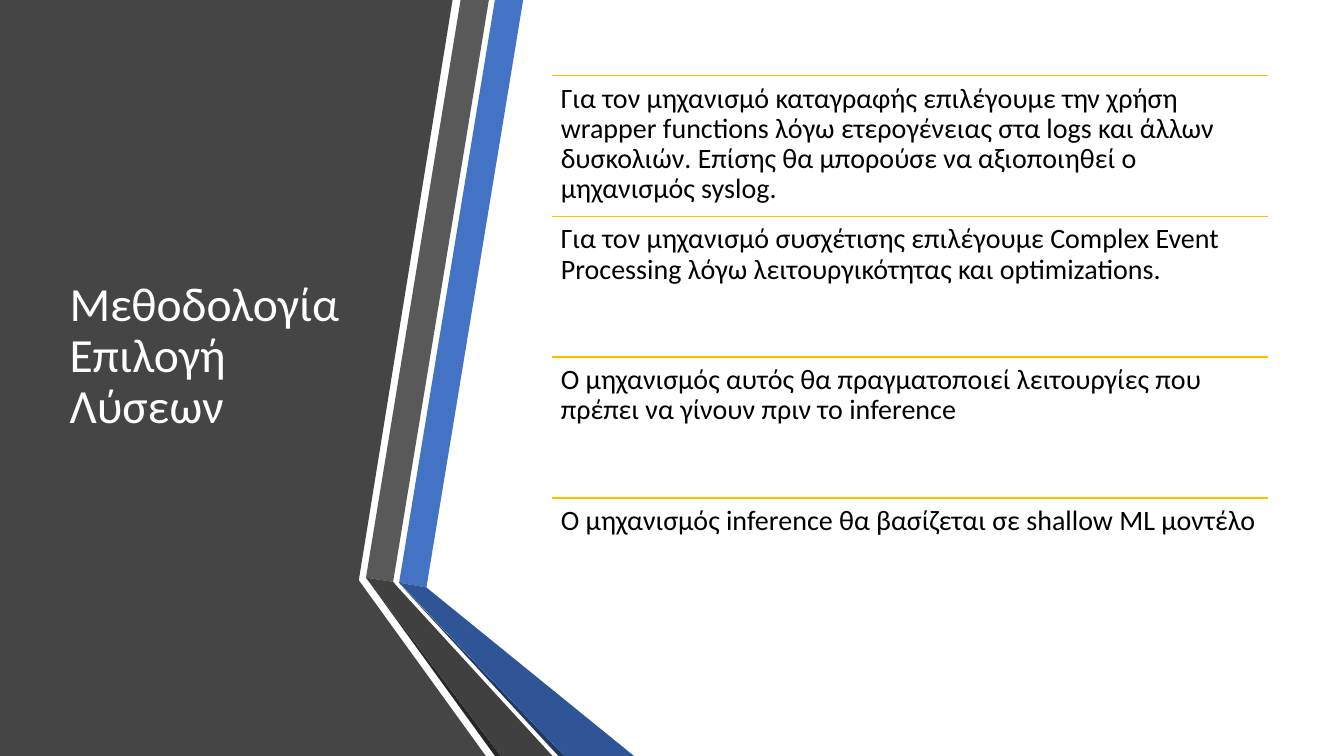
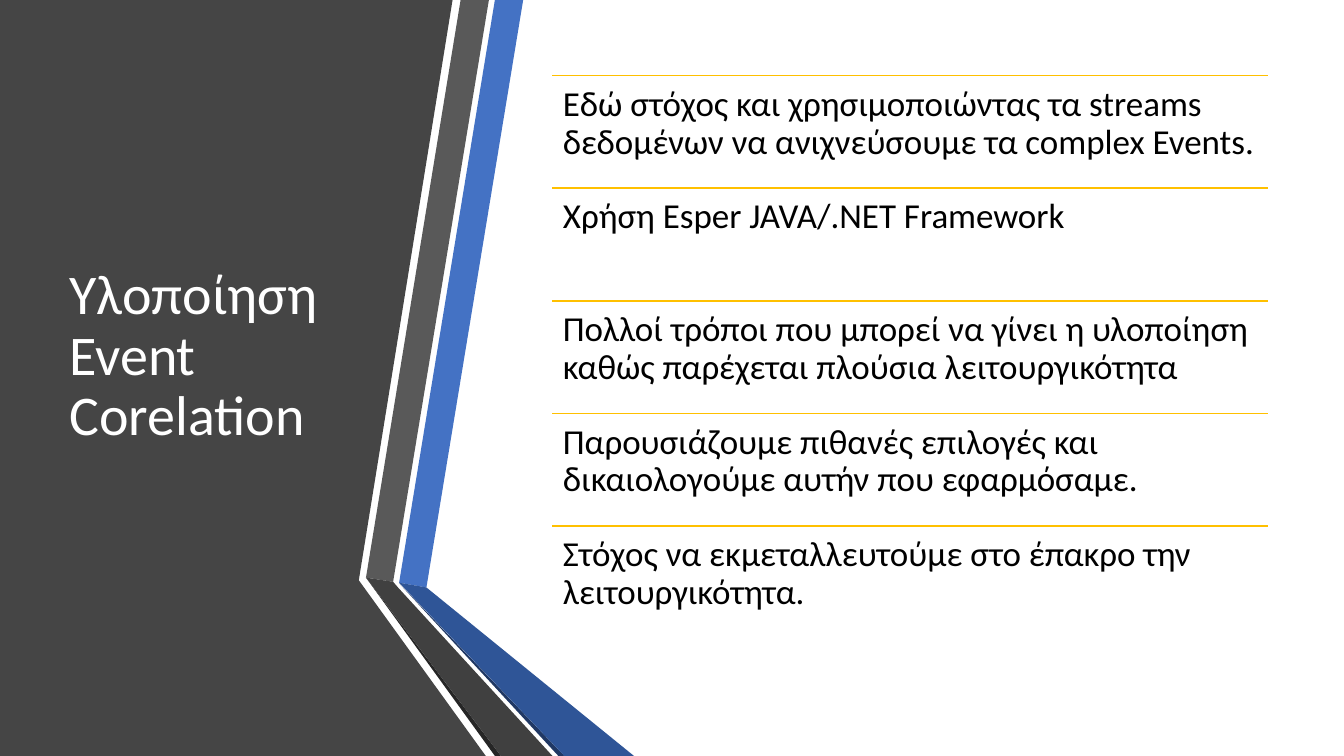
import pptx
import pptx.util
import pptx.dml.color
import pptx.enum.shapes
import pptx.enum.text
import pptx.oxml.ns
import lxml.etree

Pt = pptx.util.Pt
RGBColor = pptx.dml.color.RGBColor
ANCHOR = pptx.enum.text.MSO_ANCHOR
ALIGN = pptx.enum.text.PP_ALIGN

WHITE = RGBColor(0xFF, 0xFF, 0xFF)
BLACK = RGBColor(0x00, 0x00, 0x00)
PANEL = RGBColor(0x45, 0x45, 0x45)
BLUE = RGBColor(0x44, 0x72, 0xC4)
BLUE_FOLD = RGBColor(0x2F, 0x55, 0x97)
BLUE_EDGE = RGBColor(0x20, 0x38, 0x64)
GRAY = RGBColor(0x59, 0x59, 0x59)
GRAY_FOLD = RGBColor(0x40, 0x40, 0x40)
GRAY_EDGE = RGBColor(0x26, 0x26, 0x26)
GOLD = RGBColor(0xFF, 0xC0, 0x00)

FONT = "Calibri"
WIDTH, HEIGHT = 960, 540
TITLE_BOX = (42.5, 54, 219, 402)
LIST_BOX = (394.6, 54, 511.2, 402.2)

RIBBONS = [
    (PANEL, [(0, 0), (323.3, 0), (256.3, 414.5), (347, 540), (0, 540)]),
    (BLUE, [(285.1, 416.2), (304.6, 419.6), (373.7, 0), (353.5, 0)]),
    (GRAY, [(349.2, 0), (329, 0), (261.4, 412.6), (280.8, 415.6)]),
    (GRAY_EDGE, [(261.4, 412.6), (353.5, 540), (357.8, 540)]),
    (BLUE_EDGE, [(285.1, 416.6), (398.9, 540), (403.2, 540)]),
    (BLUE_FOLD, [(285.1, 416.2), (403.2, 540), (452.9, 540), (304.6, 419.6)]),
    (GRAY_FOLD, [(394.6, 540), (284.4, 419.8), (280.8, 415.6),
                 (261.4, 412.6), (357.8, 540)]),
]

SLIDES = [
    {
        "title": "Μεθοδολογία Επιλογή Λύσεων",
        "title_size": 34,
        "size": 20,
        "inset": 6,
        "items": [
            "Για τον μηχανισμό καταγραφής επιλέγουμε την χρήση wrapper "
            "functions λόγω ετερογένειας στα logs και άλλων δυσκολιών. "
            "Επίσης θα μπορούσε να αξιοποιηθεί ο μηχανισμός syslog.",
            "Για τον μηχανισμό συσχέτισης επιλέγουμε Complex Event "
            "Processing λόγω λειτουργικότητας και optimizations.",
            "Ο μηχανισμός αυτός θα πραγματοποιεί λειτουργίες που πρέπει "
            "να γίνουν πριν το inference",
            "Ο μηχανισμός inference θα βασίζεται σε shallow ML μοντέλο",
        ],
    },
    {
        "title": "Υλοποίηση Event Corelation",
        "title_size": 40,
        "size": 25,
        "inset": 7.5,
        "items": [
            "Εδώ στόχος και χρησιμοποιώντας τα streams δεδομένων να "
            "ανιχνεύσουμε τα complex Events.",
            "Χρήση Esper JAVA/.NET Framework",
            "Πολλοί τρόποι που μπορεί να γίνει η υλοποίηση καθώς "
            "παρέχεται πλούσια λειτουργικότητα",
            "Παρουσιάζουμε πιθανές επιλογές και δικαιολογούμε αυτήν που "
            "εφαρμόσαμε.",
            "Στόχος να εκμεταλλευτούμε στο έπακρο την λειτουργικότητα.",
        ],
    },
]


def set_attrs(obj, values):
    for name, value in values.items():
        setattr(obj, name, value)


def write_text(tf, text, size, color, **frame):
    set_attrs(tf, {"word_wrap": True,
                   "auto_size": pptx.enum.text.MSO_AUTO_SIZE.NONE, **frame})
    p = tf.paragraphs[0]
    set_attrs(p, {"alignment": ALIGN.LEFT, "line_spacing": 0.9})
    r = p.add_run()
    r.text = text
    set_attrs(r.font, {"name": FONT, "size": Pt(size)})
    r.font.color.rgb = color


def add_ribbons(s, left, top):
    for color, outline in RIBBONS:
        points = [(Pt(left + x), Pt(top + y)) for x, y in outline]
        builder = s.shapes.build_freeform(*points[0], scale=1.0)
        builder.add_line_segments(points[1:], close=True)
        sp = builder.convert_to_shape()
        sp.shadow.inherit = False
        sp.fill.solid()
        sp.fill.fore_color.rgb = color
        sp.line.fill.background()


def add_title(s, box, text, size):
    sp = s.shapes.title
    set_attrs(sp, dict(zip(("left", "top", "width", "height"), map(Pt, box))))
    write_text(sp.text_frame, text, size, WHITE,
               vertical_anchor=ANCHOR.MIDDLE)
    sp._element.getparent().append(sp._element)


def add_rule(s, left, top, width):
    line = s.shapes.add_connector(
        pptx.enum.shapes.MSO_CONNECTOR.STRAIGHT,
        Pt(left), Pt(top), Pt(left + width), Pt(top))
    line.line.color.rgb = GOLD
    line.line.width = Pt(1)
    lxml.etree.SubElement(line._element.spPr,
                          pptx.oxml.ns.qn("a:effectLst"))


def add_ruled_list(s, box, items, size, inset):
    left, top, width, height = box
    step = height / len(items)
    margins = {f"margin_{side}": Pt(inset)
               for side in ("left", "top", "right", "bottom")}
    for i, item in enumerate(items):
        y = top + i * step
        add_rule(s, left, y, width)
        sp = s.shapes.add_textbox(Pt(left), Pt(y), Pt(width), Pt(step))
        write_text(sp.text_frame, item, size, BLACK,
                   vertical_anchor=ANCHOR.TOP, **margins)


def add_list_slide(prs, content):
    s = prs.slides.add_slide(prs.slide_layouts.get_by_name("Title Only"))
    add_ribbons(s, 0, 0)
    add_title(s, TITLE_BOX, content["title"], content["title_size"])
    add_ruled_list(s, LIST_BOX, content["items"], content["size"],
                   content["inset"])


def main():
    prs = pptx.Presentation()
    set_attrs(prs, {"slide_width": Pt(WIDTH), "slide_height": Pt(HEIGHT)})
    for content in SLIDES:
        add_list_slide(prs, content)
    prs.save("out.pptx")


if __name__ == "__main__":
    main()
